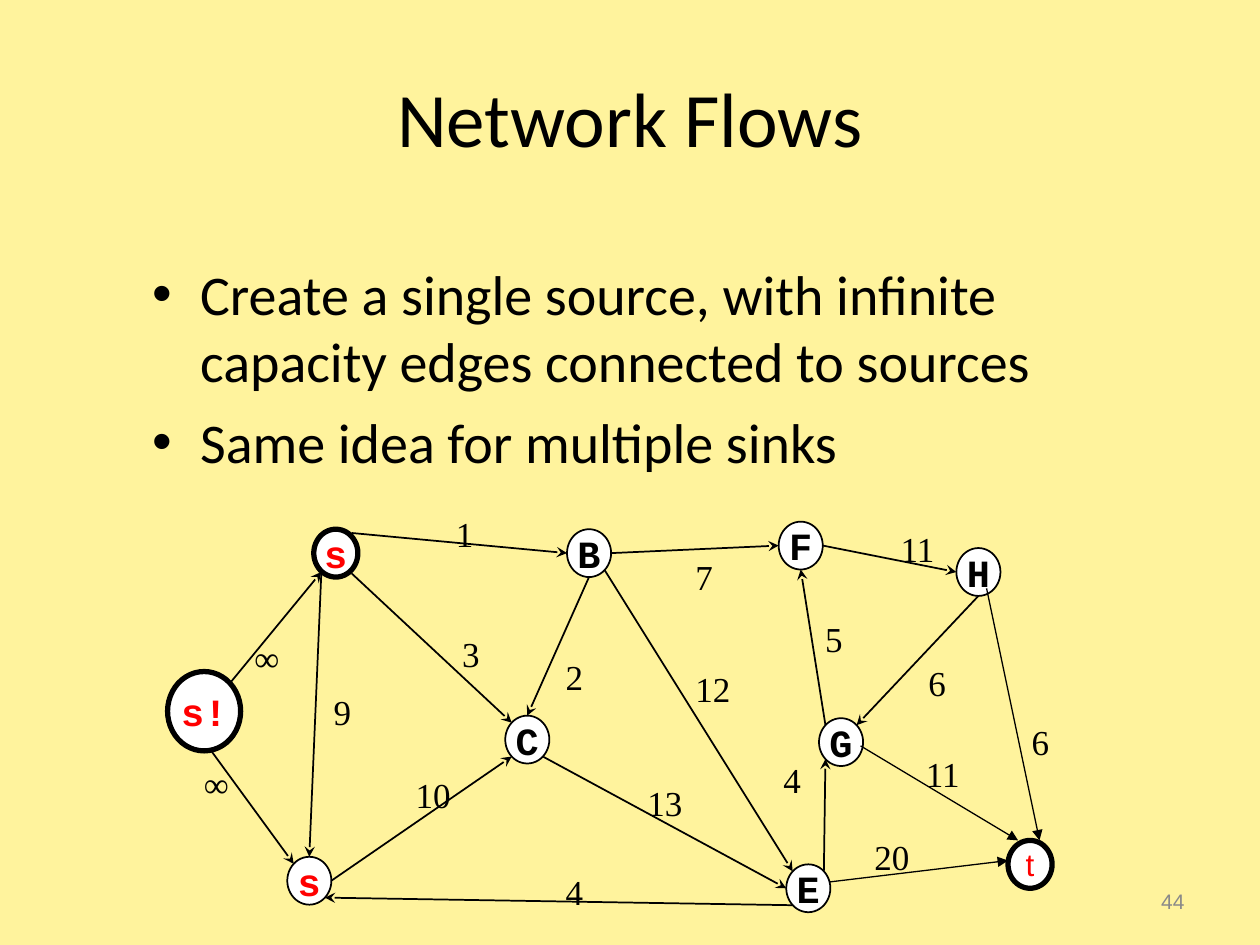
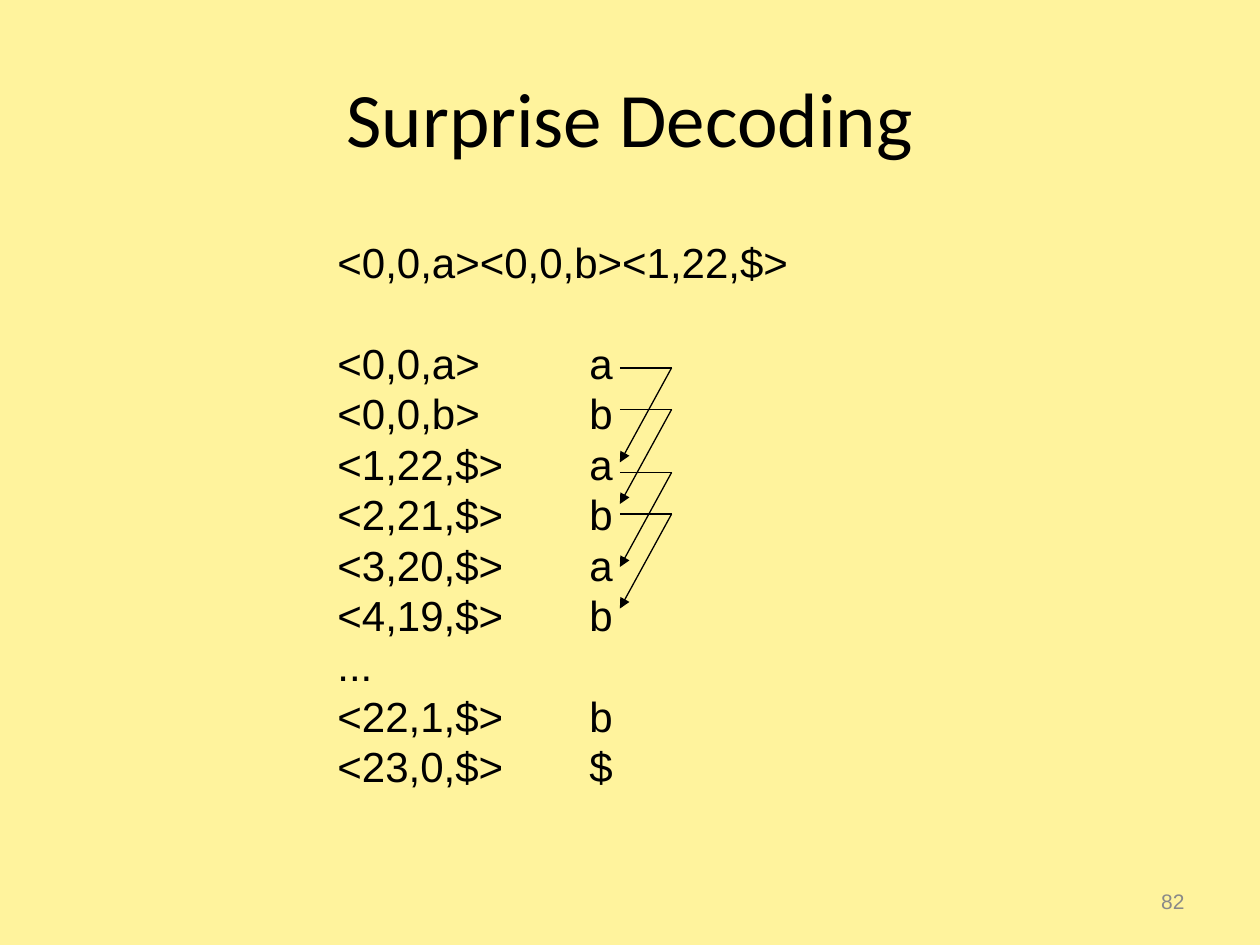
"""Build a flow network slide and a decoding slide that share one style."""
import math

import pptx
import pptx.dml.color
import pptx.enum.dml
import pptx.enum.shapes
import pptx.enum.text
import pptx.oxml
import pptx.oxml.ns
import pptx.util
from lxml import etree

COLORS = {"paper": "FFF39D", "ink": "000000", "node": "FFFFFF",
          "terminal": "FF0000", "number": "898989"}
COLS, ROWS = 10, 7.5
CELL = pptx.util.Inches(1)
ALIGN = pptx.enum.text.PP_ALIGN
ANCHOR = pptx.enum.text.MSO_ANCHOR
AUTO = pptx.enum.text.MSO_AUTO_SIZE
COMPASS = {"e": 0, "se": 45, "s": 90, "sw": 135, "w": 180, "nw": 225, "n": 270, "ne": 315}
NODE_SIZE = (0.35, 0.38)

# name: label, left, top, extra format
NODES = {
    "s1": ("s", 2.49, 4.2, {"color": "terminal", "weight": 3}),
    "s2": ("s", 2.28, 6.8, {"color": "terminal"}),
    "B": ("B", 4.5, 4.2, {}),
    "C": ("C", 4.01, 5.68, {}),
    "E": ("E", 6.24, 6.86, {}),
    "F": ("F", 6.18, 4.14, {}),
    "G": ("G", 6.5, 5.7, {}),
    "H": ("H", 7.59, 4.35, {}),
    "t": ("t", 8, 6.67, {"color": "terminal", "weight": 3, "size": 18,
                         "font": "Arial", "bold": False}),
    "super": ("s!", 1.33, 5.33, {"color": "terminal", "weight": 3, "extent": (0.58, 0.63)}),
}
# each end is a node and a compass side, or a point of the grid
EDGES = [
    ((2.79, 4.23), ("B", "w")), ((2.79, 4.55), ("C", "nw")),
    ((2.55, 4.55), ("s2", "n")), (("B", "s"), ("C", "n")),
    (("B", "e"), ("F", "w")), (("B", "se"), ("E", "nw")),
    (("s2", "e"), ("C", "sw")), (("C", "se"), ("E", "w")),
    (("E", "sw"), ("s2", "se")), (("E", "ne"), ("G", "sw")),
    (("G", "nw"), ("F", "s")), (("F", "e"), ("H", "w")),
    (("H", "s"), ("G", "ne")),
    (("super", "ne"), (2.55, 4.54)), ((1.67, 5.95), ("s2", "nw")),
]
SINK_EDGES = [((6.58, 7), (8, 6.83)), ((6.83, 5.92), (8.08, 6.67)), ((7.83, 4.67), (8.25, 6.67))]
CAPACITIES = [
    ("1", 3.52, 4.02), ("7", 5.42, 4.36), ("11", 7.05, 4.14), ("5", 6.45, 4.85),
    ("6", 7.27, 5.2), ("4", 6.12, 5.97), ("12", 5.42, 5.25), ("13", 5.04, 6.15),
    ("2", 4.39, 5.15), ("3", 3.57, 4.97), ("9", 2.55, 5.43), ("10", 3.2, 6.09),
    ("4", 4.39, 6.86), ("6", 8.09, 5.67), ("11", 7.25, 5.92), ("20", 6.84, 6.58),
    ("∞", 1.52, 6), ("∞", 1.92, 5),
]
DECODING = ["<0,0,a><0,0,b><1,22,$>", "<0,0,a>\ta", "<0,0,b>\tb", "<1,22,$>\ta",
            "<2,21,$>\tb", "<3,20,$>\ta", "<4,19,$>\tb", "...", "<22,1,$>\tb", "<23,0,$>\t$"]


def grid(*cells):
    """Turn grid columns and rows into lengths."""
    return [round(c * CELL) for c in cells]


def rgb(name):
    """Look up a colour by its role."""
    return pptx.dml.color.RGBColor.from_string(COLORS[name])


def write(tf, lines, size=18, font="Arial", color="ink", bold=False, align=ALIGN.LEFT,
          anchor=ANCHOR.TOP, wrap=True, spacing=None, before=0):
    """Fill a text frame with formatted lines and return its paragraphs."""
    tf.word_wrap = wrap
    tf.vertical_anchor = anchor
    for i, line in enumerate(lines):
        p = tf.paragraphs[0] if i == 0 else tf.add_paragraph()
        p.alignment = align
        p.space_before = pptx.util.Pt(before)
        if spacing:
            p.line_spacing = pptx.util.Pt(spacing)
        r = p.add_run()
        r.text = line
        r.font.size = pptx.util.Pt(size)
        r.font.name = font
        r.font.bold = bold
        r.font.color.rgb = rgb(color)
    return tf.paragraphs


def add_text(slide, at, lines, grow=False, **fmt):
    """Add a text box, which may fit itself to unwrapped text."""
    tf = slide.shapes.add_textbox(*grid(*at)).text_frame
    if grow:
        tf.auto_size = AUTO.SHAPE_TO_FIT_TEXT
    return write(tf, lines, wrap=not grow, **fmt)


def add_bullets(slide, at, lines, **fmt):
    """Add a bulleted list with hanging indents."""
    for p in add_text(slide, at, lines, **fmt):
        pPr = p._p.get_or_add_pPr()
        indent, = grid(0.38)
        pPr.set("marL", str(indent))
        pPr.set("indent", str(-indent))
        etree.SubElement(pPr, pptx.oxml.ns.qn("a:buFont"), typeface="Arial")
        etree.SubElement(pPr, pptx.oxml.ns.qn("a:buChar"), char="•")


def add_tab_stop(p, column):
    """Give a paragraph one left tab stop."""
    stops = etree.SubElement(p._p.get_or_add_pPr(), pptx.oxml.ns.qn("a:tabLst"))
    etree.SubElement(stops, pptx.oxml.ns.qn("a:tab"), pos=str(grid(column)[0]), algn="l")


def add_line(slide, start, end, weight=0.75, tail=None):
    """Draw a straight line, with an arrowhead at its end if asked."""
    sp = slide.shapes.add_connector(pptx.enum.shapes.MSO_CONNECTOR.STRAIGHT,
                                    *grid(*start, *end))
    sp.line.color.rgb = rgb("ink")
    sp.line.width = pptx.util.Pt(weight)
    if tail:
        etree.SubElement(sp.line._get_or_add_ln(), pptx.oxml.ns.qn("a:tailEnd"), type=tail)
    etree.SubElement(sp._element.spPr, pptx.oxml.ns.qn("a:effectLst"))


def add_node(slide, label, left, top, extent=NODE_SIZE, weight=1, **fmt):
    """Draw a labelled ellipse of the network."""
    sp = slide.shapes.add_shape(pptx.enum.shapes.MSO_SHAPE.OVAL, *grid(left, top, *extent))
    sp.shadow.inherit = False
    sp.fill.solid()
    sp.fill.fore_color.rgb = rgb("node")
    sp.line.color.rgb = rgb("ink")
    sp.line.width = pptx.util.Pt(weight)
    style = {"size": 22, "font": "Courier New", "bold": True, **fmt}
    write(sp.text_frame, [label], align=ALIGN.CENTER, anchor=ANCHOR.MIDDLE, wrap=False, **style)


def edge_end(end):
    """Find the grid point of an edge's end."""
    if end[0] not in NODES:
        return end
    name, side = end
    _, left, top, fmt = NODES[name]
    width, height = fmt.get("extent", NODE_SIZE)
    angle = math.radians(COMPASS[side])
    return (left + width / 2 * (1 + math.cos(angle)),
            top + height / 2 * (1 + math.sin(angle)))


def add_slide(prs, title, number):
    """Add a slide with its title and page number."""
    slide = prs.slides.add_slide(prs.slide_layouts[5])
    sp = slide.shapes.title
    sp.left, sp.top, sp.width, sp.height = grid(0.5, 0.3, 9, 1.25)
    write(sp.text_frame, [title], size=44, font="Calibri",
          align=ALIGN.CENTER, anchor=ANCHOR.MIDDLE)
    add_text(slide, (7.17, 6.95, 2.33, 0.4), [number], size=12, color="number",
             align=ALIGN.RIGHT, anchor=ANCHOR.MIDDLE)
    return slide


def network_slide(prs):
    """Build the flow network with its single source."""
    slide = add_slide(prs, "Network Flows", "44")
    add_bullets(slide, (1.11, 2.01, 7.83, 2.05),
                ["Create a single source, with infinite capacity edges connected to sources",
                 "Same idea for multiple sinks"], size=32, font="Calibri", before=8)
    for label, left, top, fmt in NODES.values():
        add_node(slide, label, left, top, **fmt)
    for start, end in EDGES:
        add_line(slide, edge_end(start), edge_end(end), weight=1, tail="stealth")
    for start, end in SINK_EDGES:
        add_line(slide, start, end, tail="triangle")
    for text, left, top in CAPACITIES:
        width = 0.4 if text == "∞" else 0.2 + 0.14 * len(text)
        add_text(slide, (left, top, width, 0.44), [text], grow=True,
                 size=20, font="Times New Roman")


def decoding_slide(prs):
    """Build the decoding steps with arrows from each copied letter."""
    slide = add_slide(prs, "Surprise Decoding", "82")
    pitch = 28.8
    paragraphs = add_text(slide, (2.58, 1.83, 3.78, 4.5), DECODING, grow=True,
                          size=24, spacing=pitch)
    paragraphs[1].space_before = pptx.util.Pt(pitch)
    for p in paragraphs:
        add_tab_stop(p, 2)
    left, right, drop = 4.92, 5.33, 0.75
    for top in (2.92, 3.25, 3.75, 4.08):
        add_line(slide, (left, top), (right, top))
        add_line(slide, (right, top), (left, top + drop), tail="triangle")


def main():
    """Create the presentation and save it."""
    prs = pptx.Presentation()
    prs.slide_width, prs.slide_height = grid(COLS, ROWS)
    fill = prs.slide_master.background.fill
    fill.solid()
    fill.fore_color.rgb = rgb("paper")
    network_slide(prs)
    decoding_slide(prs)
    prs.save("out.pptx")


if __name__ == "__main__":
    main()
